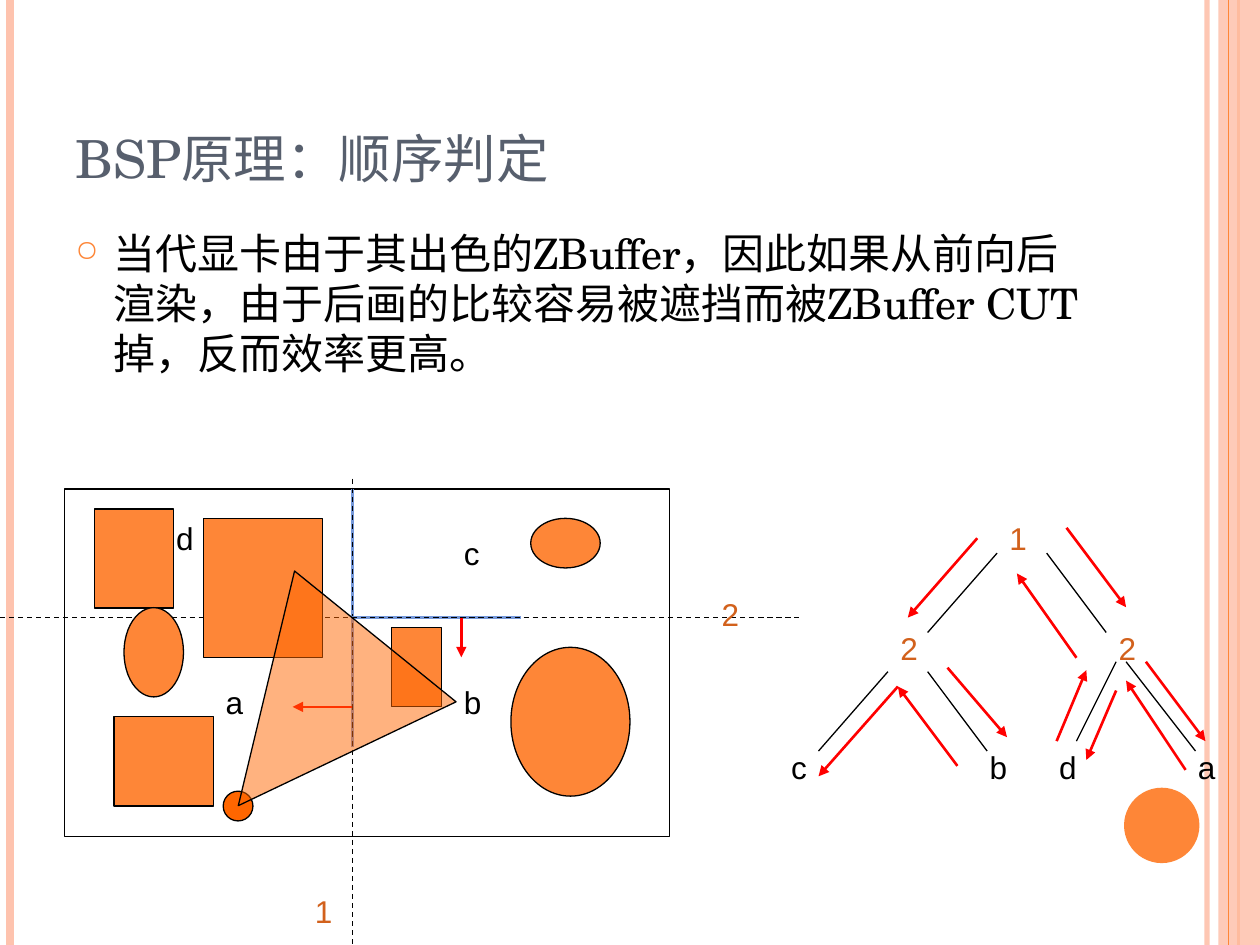
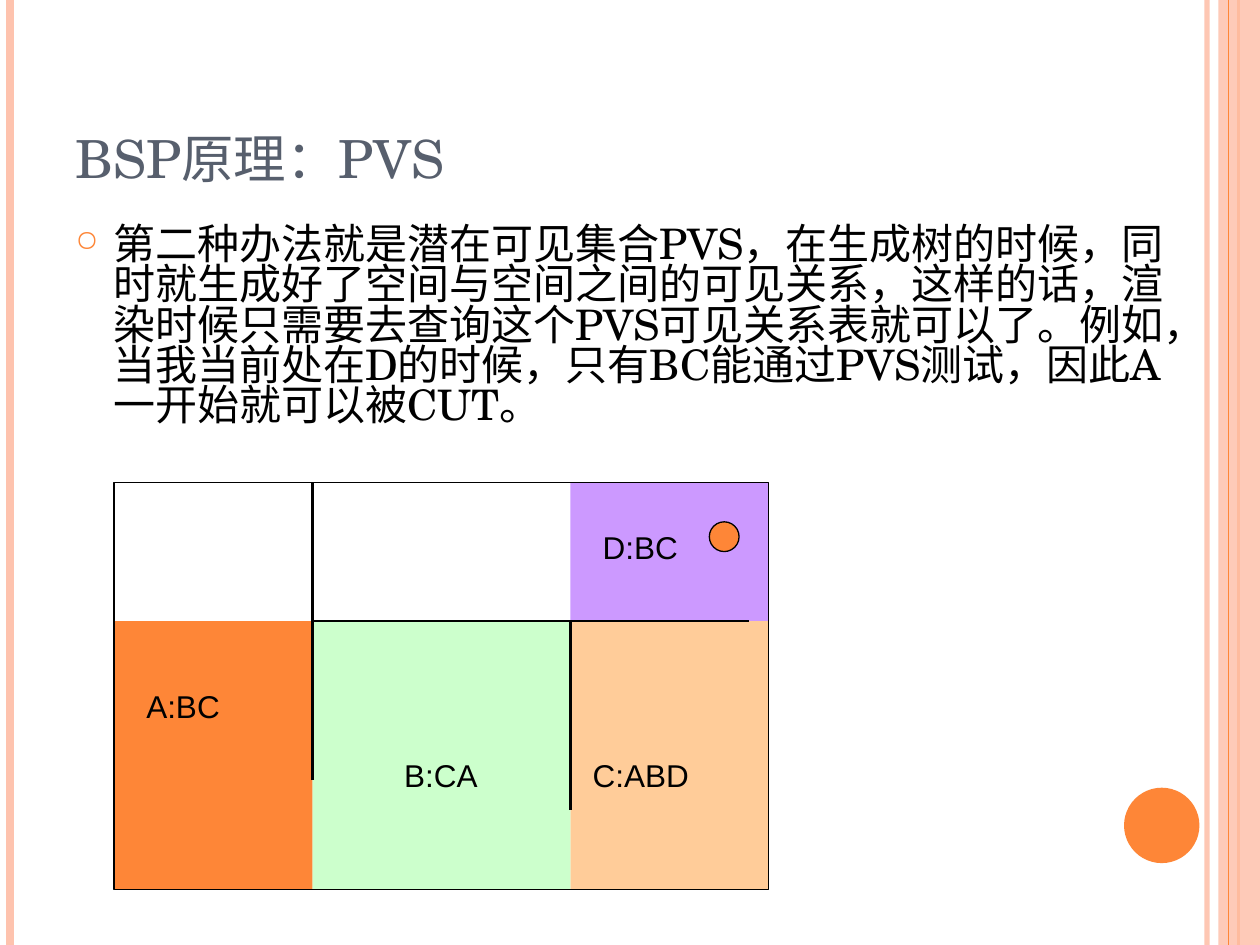
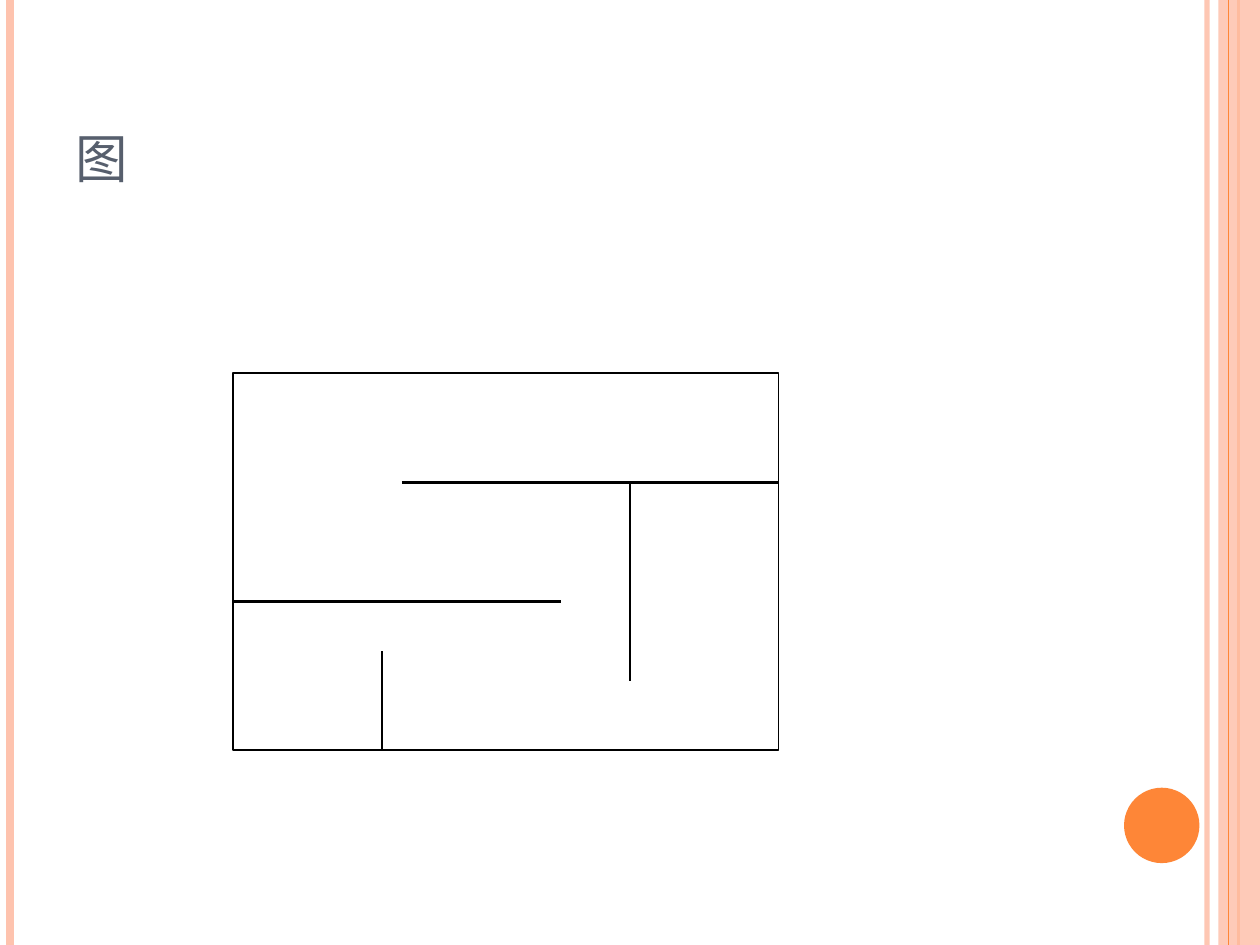
from dataclasses import dataclass
from typing import Any, Optional

from lxml.etree import SubElement
from pptx import Presentation
from pptx.dml.color import RGBColor
from pptx.enum.dml import MSO_LINE
from pptx.enum.shapes import MSO_CONNECTOR, MSO_SHAPE
from pptx.enum.text import MSO_ANCHOR, MSO_AUTO_SIZE, PP_ALIGN
from pptx.oxml.ns import qn
from pptx.util import Cm, Pt

SLIDE_WIDTH, SLIDE_HEIGHT = 25.4, 19.05
ORANGE, PEACH, DEEP_ORANGE = "FE8637", "FEC3AE", "FF6600"
BLACK, RED, BLUE, RUST, SLATE = "000000", "FF0000", "7598D9", "D2611C", "575F6D"
SERIF, SANS = "TeX Gyre Schola", "Arial"
RECT, OVAL, TRIANGLE = MSO_SHAPE.RECTANGLE, MSO_SHAPE.OVAL, MSO_SHAPE.ISOSCELES_TRIANGLE
INSETS = {"margin_left": Cm(0.25), "margin_right": Cm(0.25),
          "margin_top": Cm(0.13), "margin_bottom": Cm(0.13)}


@dataclass(frozen=True)
class Figure:
    """A preset shape; lengths in centimetres, opacity in percent."""
    kind: MSO_SHAPE
    left: float
    top: float
    width: float
    height: float
    fill: Optional[str] = None
    outline: Optional[str] = BLACK
    opacity: int = 100
    rotation: float = 0


@dataclass(frozen=True)
class Stroke:
    """A straight line; ends in centimetres, weight in points."""
    x1: float
    y1: float
    x2: float
    y2: float
    color: str = BLACK
    weight: float = 1.5
    dashed: bool = False
    arrow: bool = False
    opacity: int = 100


@dataclass(frozen=True)
class Label:
    text: str
    left: float
    top: float
    width: float = 1.0
    color: str = BLACK


def rgb(color: str) -> RGBColor:
    return RGBColor.from_string(color)


def set_values(target: Any, values: dict[str, Any]) -> None:
    for name, value in values.items():
        setattr(target, name, value)


def set_opacity(color_parent: Any, percent: int) -> None:
    if percent < 100:
        color = next(color_parent.iter(qn("a:srgbClr")))
        SubElement(color, qn("a:alpha"), val=str(percent * 1000))


def draw_figure(slide: Any, figure: Figure) -> None:
    shape = slide.shapes.add_shape(figure.kind, Cm(figure.left), Cm(figure.top),
                                   Cm(figure.width), Cm(figure.height))
    shape.shadow.inherit = False
    shape.rotation = figure.rotation
    if figure.fill:
        shape.fill.solid()
        shape.fill.fore_color.rgb = rgb(figure.fill)
        set_opacity(shape.element.spPr.find(qn("a:solidFill")), figure.opacity)
    else:
        shape.fill.background()
    if figure.outline:
        shape.line.color.rgb = rgb(figure.outline)
        shape.line.width = Pt(0.75)
    else:
        shape.line.fill.background()


def draw_stroke(slide: Any, stroke: Stroke) -> None:
    connector = slide.shapes.add_connector(
        MSO_CONNECTOR.STRAIGHT, Cm(stroke.x1), Cm(stroke.y1), Cm(stroke.x2), Cm(stroke.y2))
    connector.line.color.rgb = rgb(stroke.color)
    connector.line.width = Pt(stroke.weight)
    if stroke.dashed:
        connector.line.dash_style = MSO_LINE.DASH
    properties = connector.element.spPr
    line = properties.find(qn("a:ln"))
    set_opacity(line, stroke.opacity)
    if stroke.arrow:
        SubElement(line, qn("a:tailEnd"), type="triangle")
    SubElement(properties, qn("a:effectLst"))


def draw_all(slide: Any, *items: Figure | Stroke | Label) -> None:
    """Draw the items from back to front."""
    for item in items:
        if isinstance(item, Figure):
            draw_figure(slide, item)
        elif isinstance(item, Stroke):
            draw_stroke(slide, item)
        else:
            draw_label(slide, item)


def write_text(shape: Any, text: str, font: str, size: float, color: str,
               frame_format: dict[str, Any]) -> Any:
    """Fill the shape with one left-aligned paragraph and return it."""
    frame = shape.text_frame
    set_values(frame, {"word_wrap": True, "auto_size": MSO_AUTO_SIZE.NONE,
                       **INSETS, **frame_format})
    paragraph = frame.paragraphs[0]
    paragraph.alignment = PP_ALIGN.LEFT
    run = paragraph.add_run()
    run.text = text
    set_values(run.font, {"name": font, "size": Pt(size)})
    run.font.color.rgb = rgb(color)
    return paragraph


def draw_label(slide: Any, label: Label) -> None:
    box = slide.shapes.add_textbox(Cm(label.left), Cm(label.top), Cm(label.width), Cm(1.02))
    write_text(box, label.text, SANS, 18, label.color,
               {"auto_size": MSO_AUTO_SIZE.SHAPE_TO_FIT_TEXT})


def draw_body(slide: Any, text: str, width: float, height: float,
              line_spacing: float = 1.0) -> None:
    box = slide.shapes.add_textbox(Cm(1.27), Cm(4.45), Cm(width), Cm(height))
    paragraph = write_text(box, text, SERIF, 24, BLACK, {})
    paragraph.line_spacing = line_spacing
    properties = paragraph._p.get_or_add_pPr()
    properties.set("marL", str(Cm(0.76)))
    properties.set("indent", str(-Cm(0.76)))
    bullet_color = SubElement(properties, qn("a:buClr"))
    SubElement(bullet_color, qn("a:srgbClr"), val=ORANGE)
    SubElement(properties, qn("a:buSzPct"), val="70000")
    SubElement(properties, qn("a:buChar"), char="○")


def vertical_band(x: float, color: str, weight: float, opacity: int = 100) -> Stroke:
    return Stroke(x, 0, x, SLIDE_HEIGHT, color, weight, opacity=opacity)


def add_titled_slide(presentation: Any, title: str) -> Any:
    slide = presentation.slides.add_slide(presentation.slide_layouts[5])
    placeholder = slide.shapes.title
    set_values(placeholder, {"left": Cm(1.27), "top": Cm(0.76),
                             "width": Cm(20.75), "height": Cm(3.18)})
    write_text(placeholder, title, SERIF, 30, SLATE, {"vertical_anchor": MSO_ANCHOR.BOTTOM})
    draw_all(
        slide,
        vertical_band(24.33, PEACH, 3, opacity=93),
        vertical_band(0.2, PEACH, 4.5),
        vertical_band(24.97, ORANGE, 1.5),
        Figure(RECT, 24.56, 0, 0.84, SLIDE_HEIGHT, PEACH, None, opacity=87),
        vertical_band(24.77, ORANGE, 0.75),
        Figure(OVAL, 22.66, 15.88, 1.52, 1.52, ORANGE, None))
    return slide


def red_arrow(x1: float, y1: float, x2: float, y2: float) -> Stroke:
    return Stroke(x1, y1, x2, y2, RED, arrow=True)


def draw_scene(slide: Any) -> None:
    """The split space with its objects and the view triangle."""
    split_x, split_y = 7.1, 12.45
    draw_all(
        slide,
        Figure(OVAL, 4.5, 15.95, 0.6, 0.6, DEEP_ORANGE),
        Figure(RECT, 1.3, 9.86, 12.2, 7.0),
        Stroke(split_x, 9.86, split_x, 15.06, BLUE),
        Stroke(split_x, 9.65, split_x, SLIDE_HEIGHT, weight=0.75, dashed=True),
        Stroke(split_x, split_y, 10.5, split_y, BLUE),
        Stroke(0, split_y, 16.1, split_y, weight=0.75, dashed=True),
        Figure(RECT, 1.9, 10.26, 1.6, 2.0, ORANGE),
        Figure(RECT, 4.1, 10.45, 2.4, 2.8, ORANGE),
        Figure(RECT, 2.3, 14.45, 2.0, 1.8, ORANGE),
        Figure(RECT, 7.9, 12.65, 1.0, 1.6, ORANGE),
        Figure(OVAL, 2.5, 12.25, 1.2, 1.8, ORANGE),
        Figure(OVAL, 10.3, 13.05, 2.4, 3.0, ORANGE),
        Figure(OVAL, 10.7, 10.45, 1.4, 1.0, ORANGE),
        red_arrow(split_x, 14.25, 5.9, 14.25),
        red_arrow(9.3, split_y, 9.3, 13.25),
        Label("a", 4.3, 13.64),
        Label("b", 9.1, 13.64),
        Label("c", 9.1, 10.64),
        Label("d", 3.3, 10.34),
        Label("1", 6.1, 17.86, color=RUST),
        Label("2", 14.3, 11.86, color=RUST),
        Figure(TRIANGLE, 4.09, 12.34, 4.19, 4.39, DEEP_ORANGE, opacity=50, rotation=219))


def draw_tree(slide: Any) -> None:
    """The partition tree with the arrows of its traversal."""
    edges = [(20.1, 11.15, 18.7, 12.75), (21.1, 11.15, 22.3, 12.75),
             (17.9, 13.54, 16.5, 15.14), (18.7, 13.54, 19.9, 15.14),
             (22.5, 13.34, 21.7, 14.94), (22.7, 13.34, 24.1, 15.14)]
    steps = [(19.7, 10.85, 18.3, 12.45), (18.1, 13.84, 16.5, 15.65),
             (19.3, 15.44, 18.1, 13.84), (19.1, 13.46, 20.3, 14.86),
             (21.7, 13.26, 20.5, 11.56), (21.5, 10.64, 22.7, 12.24),
             (23.1, 13.34, 24.3, 14.94), (23.9, 15.52, 22.7, 13.72),
             (22.5, 13.92, 21.9, 15.32), (21.3, 14.94, 21.9, 13.51)]
    splits = [("1", 20.1, 10.34), ("2", 17.9, 12.55), ("2", 22.3, 12.55)]
    leaves = [("c", 15.7), ("b", 19.7), ("d", 21.1), ("a", 23.9)]
    draw_all(
        slide,
        *(Stroke(*edge, weight=0.75) for edge in edges),
        *(Label(text, left, top, color=RUST) for text, left, top in splits),
        *(Label(text, left, 14.94) for text, left in leaves),
        *(red_arrow(*step) for step in steps))


def build_order_slide(presentation: Any) -> None:
    slide = add_titled_slide(presentation, "BSP原理：顺序判定")
    draw_body(slide, "当代显卡由于其出色的ZBuffer，因此如果从前向后渲染，由于后画的比较容易"
                     "被遮挡而被ZBuffer CUT掉，反而效率更高。", 20.75, 13.54)
    draw_scene(slide)
    draw_tree(slide)


def build_visibility_slide(presentation: Any) -> None:
    slide = add_titled_slide(presentation, "BSP原理：PVS")
    draw_body(slide, "第二种办法就是潜在可见集合PVS，在生成树的时候，同时就生成好了空间与空间"
                     "之间的可见关系，这样的话，渲染时候只需要去查询这个PVS可见关系表就可以了。"
                     "例如，当我当前处在D的时候，只有BC能通过PVS测试，因此A一开始就可以被CUT。",
              22.86, 4.47, line_spacing=0.8)
    left, wall_b, wall_c, right = 2.3, 6.3, 11.5, 15.5
    top, middle, bottom = 9.73, 12.52, 17.93
    rooms = [(wall_c, top, right, middle, "CC99FF"),
             (wall_c, middle, right, bottom, "FFCC99"),
             (wall_b, middle, wall_c, bottom, "CCFFCC"),
             (left, middle, wall_b, bottom, ORANGE)]
    draw_all(
        slide,
        *(Figure(RECT, x1, y1, x2 - x1, y2 - y1, fill, None) for x1, y1, x2, y2, fill in rooms),
        Figure(RECT, left, top, right - left, bottom - top),
        Stroke(wall_b, top, wall_b, 15.72),
        Stroke(wall_b, middle, 15.1, middle),
        Stroke(wall_c, middle, wall_c, 16.33),
        Label("A:BC", 2.7, 13.72, 2.6),
        Label("B:CA", 7.9, 15.11, 2.01),
        Label("C:ABD", 11.7, 15.11, 3.0),
        Label("D:BC", 11.9, 10.52, 3.4),
        Figure(OVAL, 14.3, 10.52, 0.6, 0.6, ORANGE))


def build_plan_slide(presentation: Any) -> None:
    slide = add_titled_slide(presentation, "图")
    left, top, right, bottom = 4.7, 7.52, 15.7, 15.12
    upper_wall = 9.73
    draw_all(
        slide,
        Figure(RECT, left, top, right - left, bottom - top),
        Stroke(left, 12.12, 11.3, 12.12),
        Stroke(8.1, upper_wall, right, upper_wall),
        Stroke(12.7, upper_wall, 12.7, 13.72),
        Stroke(7.7, 13.13, 7.7, bottom))


def main() -> None:
    presentation = Presentation()
    set_values(presentation, {"slide_width": Cm(SLIDE_WIDTH), "slide_height": Cm(SLIDE_HEIGHT)})
    build_order_slide(presentation)
    build_visibility_slide(presentation)
    build_plan_slide(presentation)
    presentation.save("out.pptx")


if __name__ == "__main__":
    main()
